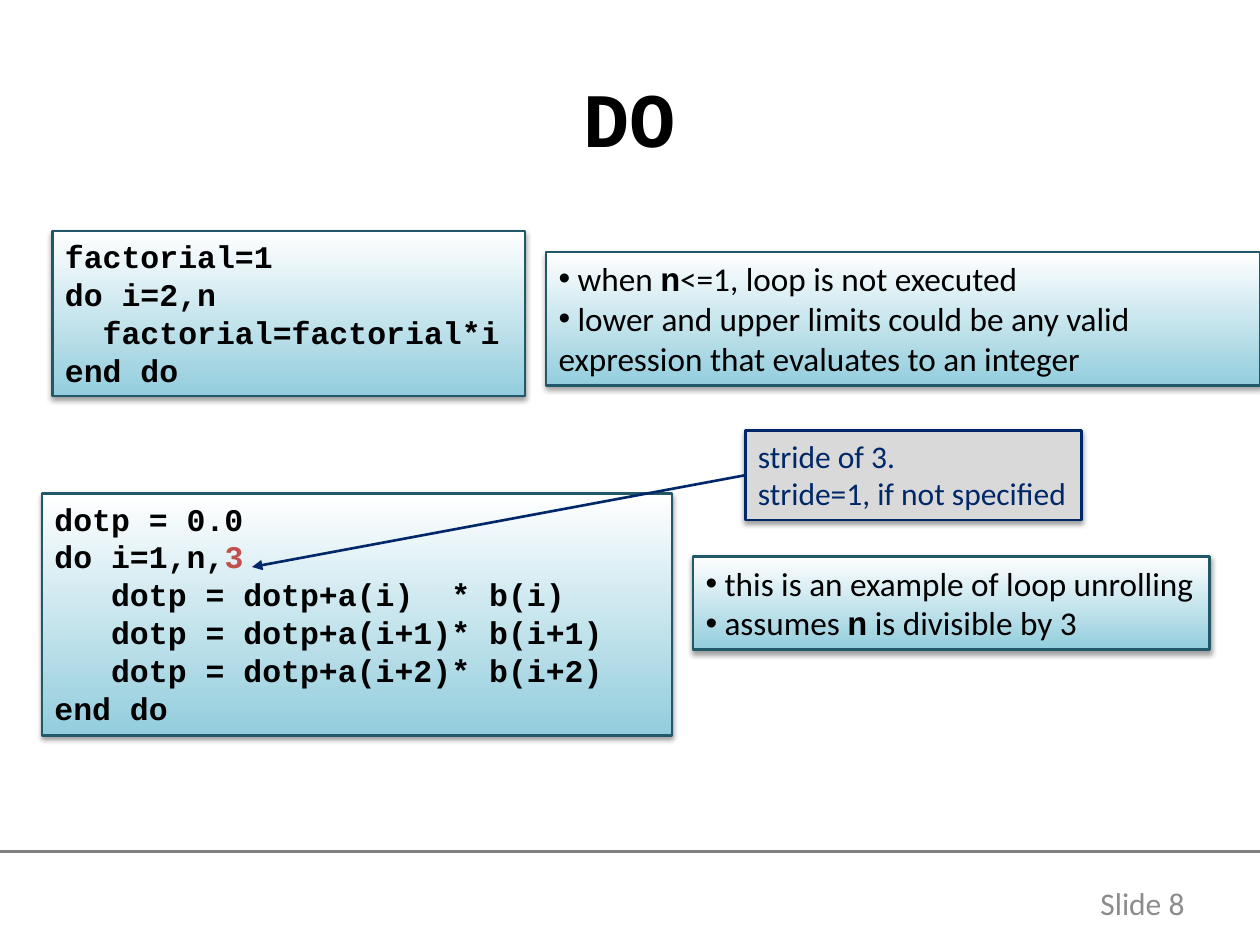
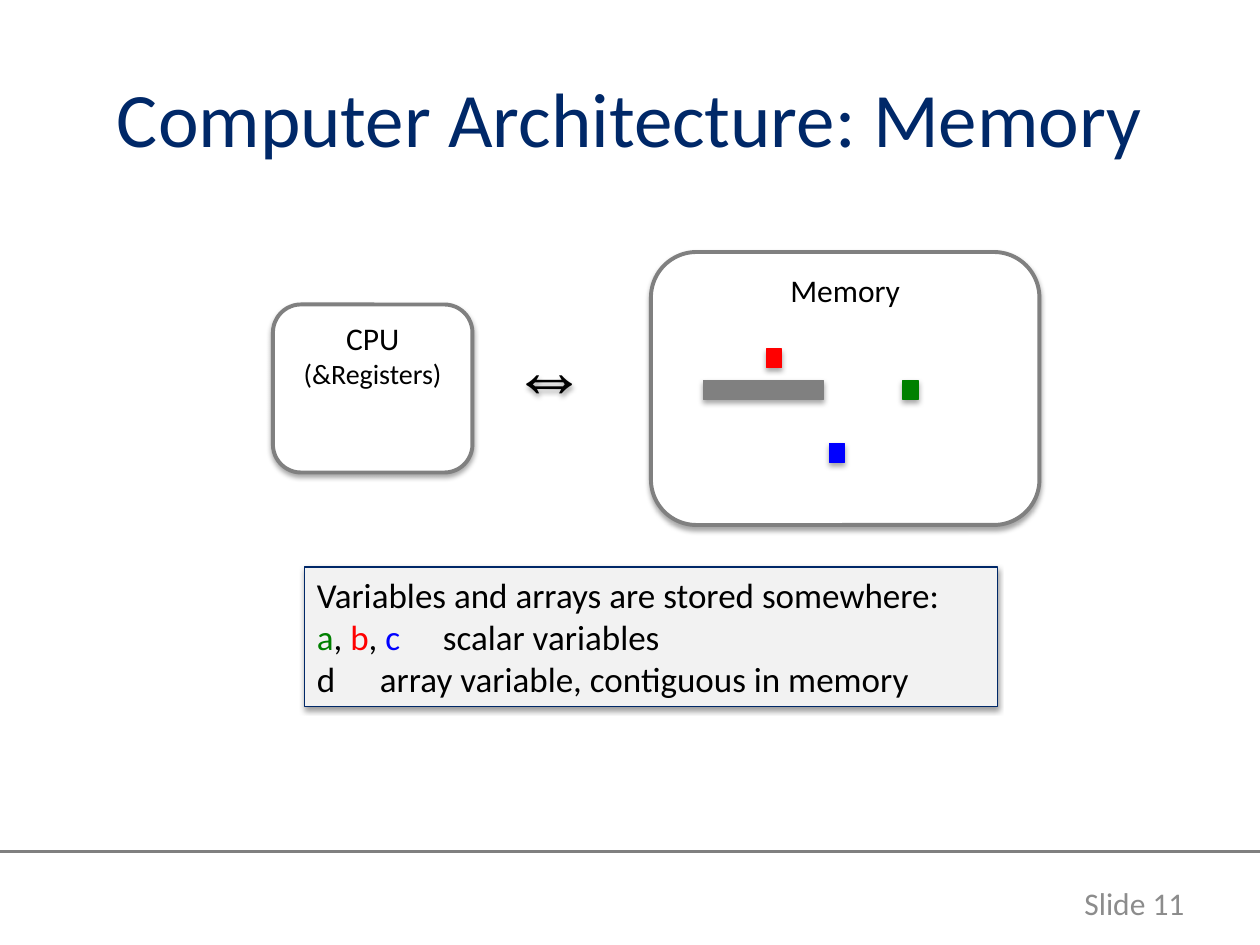
from dataclasses import dataclass, field
from typing import Any, NamedTuple, Optional

from lxml.etree import SubElement
from pptx import Presentation
from pptx.dml.color import RGBColor
from pptx.enum.shapes import MSO_CONNECTOR, MSO_SHAPE
from pptx.enum.text import MSO_ANCHOR, MSO_AUTO_SIZE, PP_ALIGN
from pptx.oxml.ns import qn
from pptx.util import Pt


@dataclass(frozen=True)
class Theme:
    sans: str = "Calibri"
    mono: str = "Courier New"
    black: str = "000000"
    white: str = "FFFFFF"
    navy: str = "002868"
    teal: str = "215968"
    aqua: str = "93CDDD"
    gray: str = "808080"
    foot: str = "8C8C8C"
    silver: str = "D9D9D9"
    pale: str = "F2F2F2"
    brick: str = "C0504D"
    red: str = "FF0000"
    green: str = "008000"
    blue: str = "0000FF"
    head: float = 44
    large: float = 20
    list: float = 19
    text: float = 18
    small: float = 16


T = Theme()
CHAR = 10.8  # width of one code letter at T.text


class Bit(NamedTuple):
    """A run of text in one format."""
    text: str
    color: str = T.black
    size: float = T.text
    face: str = T.sans
    bold: bool = False


class Line(NamedTuple):
    """A paragraph; indent is in points."""
    bits: list[Bit]
    indent: float = 0
    bullet: bool = False
    align: PP_ALIGN = PP_ALIGN.LEFT


class Area(NamedTuple):
    left: float
    top: float
    width: float
    height: float


class Glow(NamedTuple):
    """A shadow straight below its shape."""
    alpha: int
    dist: float


SOFT = Glow(38, 1.6)
DEEP = Glow(35, 1.8)


@dataclass
class Box:
    area: Area
    lines: list[Line] = field(default_factory=list)
    fill: Optional[str] = None  # None gives the aqua gradient
    edge: str = T.teal
    width: float = 1.5
    glow: Glow = SOFT
    kind: MSO_SHAPE = MSO_SHAPE.RECTANGLE
    wrap: bool = True


def tint(name: str) -> RGBColor:
    return RGBColor.from_string(name)


def apply(item: Any, values: dict[str, Any]) -> None:
    for key, value in values.items():
        setattr(item, key, value)


def place(shape: Any, area: Area) -> None:
    apply(shape, {key: Pt(value) for key, value in area._asdict().items()})


# Text

def mono(text: str, color: str = T.black, size: float = T.text) -> Bit:
    return Bit(text, color, size, T.mono, True)


def code(text: str, depth: int = 0) -> Line:
    return Line([mono(text)], depth * CHAR)


def point(*bits: Bit) -> Line:
    return Line([bit._replace(size=T.list) for bit in bits], bullet=True)


def mid(*bits: Bit) -> Line:
    return Line(list(bits), align=PP_ALIGN.CENTER)


def write(frame: Any, lines: list[Line], **form: Any) -> None:
    apply(frame, {"word_wrap": True, "auto_size": MSO_AUTO_SIZE.NONE,
                  "vertical_anchor": MSO_ANCHOR.TOP} | form)
    for row, line in enumerate(lines):
        para = frame.add_paragraph() if row else frame.paragraphs[0]
        apply(para, {"alignment": line.align, "space_before": Pt(0)})
        props = para._p.get_or_add_pPr()
        props.set("marL", str(Pt(line.indent)))
        props.set("indent", "0")
        if line.bullet:
            SubElement(props, qn("a:buFont"), typeface="Arial")
            SubElement(props, qn("a:buChar"), char="•")
        for bit in line.bits:
            run = para.add_run()
            run.text = bit.text
            apply(run.font, {"name": bit.face, "size": Pt(bit.size), "bold": bit.bold})
            run.font.color.rgb = tint(bit.color)


# Shapes

def shade(shape: Any, glow: Glow) -> None:
    shape.shadow.inherit = False
    effects = shape._element.spPr.find(qn("a:effectLst"))
    outer = SubElement(effects, qn("a:outerShdw"), blurRad=str(Pt(3.1)),
                       dist=str(Pt(glow.dist)), dir="5400000", rotWithShape="0")
    color = SubElement(outer, qn("a:srgbClr"), val=T.black)
    SubElement(color, qn("a:alpha"), val=str(glow.alpha * 1000))


def paint(shape: Any, box: Box) -> None:
    if box.fill:
        shape.fill.solid()
        shape.fill.fore_color.rgb = tint(box.fill)
    else:
        shape.fill.gradient()
        shape.fill.gradient_angle = 90
        for stop, (spot, name) in zip(shape.fill.gradient_stops,
                                      ((0, T.aqua), (1, T.white))):
            stop.position = spot
            stop.color.rgb = tint(name)
    shape.line.color.rgb = tint(box.edge)
    shape.line.width = Pt(box.width)
    shade(shape, box.glow)


def draw(slide: Any, box: Box, holder: Any = None) -> Any:
    """Draw a box, in a body placeholder where one is given."""
    shape = holder
    if shape is None:
        shape = slide.shapes.add_shape(box.kind, *map(Pt, box.area))
    place(shape, box.area)
    paint(shape, box)
    if box.lines:
        write(shape.text_frame, box.lines, word_wrap=box.wrap)
    return shape


def join(slide: Any, start: tuple, end: tuple, color: str, width: float) -> Any:
    line = slide.shapes.add_connector(MSO_CONNECTOR.STRAIGHT, *map(Pt, start + end))
    line.line.color.rgb = tint(color)
    line.line.width = Pt(width)
    SubElement(line._element.spPr, qn("a:effectLst"))
    return line


def label(slide: Any, area: Area, line: Line, **form: Any) -> Any:
    shape = slide.shapes.add_textbox(*map(Pt, area))
    write(shape.text_frame, [line], **form)
    return shape


# Parts shared by the slides

def start(deck: Any, layout: int, title: Bit, number: int) -> Any:
    slide = deck.slides.add_slide(deck.slide_layouts[layout])
    join(slide, (0, 486.7), (720, 486.7), T.gray, 2)
    label(slide, Area(605.5, 501.8, 78.5, 28.8),
          Line([Bit(f"Slide {number}", T.foot)], align=PP_ALIGN.RIGHT),
          vertical_anchor=MSO_ANCHOR.MIDDLE)
    head = slide.shapes.title
    place(head, Area(36, 21.6, 648, 90))
    write(head.text_frame, [mid(title)], vertical_anchor=MSO_ANCHOR.MIDDLE)
    return slide


# Slide on loops

def loops(deck: Any) -> None:
    slide = start(deck, 3, mono("DO", size=T.head), 8)
    draw(slide, Box(Area(24, 282, 360, 138.2), [
        code("dotp = 0.0"),
        Line([mono("do i=1,n,"), mono("3", T.brick)]),
        code("dotp = dotp+a(i)  * b(i)", 3),
        code("dotp = dotp+a(i+1)* b(i+1)", 3),
        code("dotp = dotp+a(i+2)* b(i+2)", 3),
        code("end do")]))
    draw(slide, Box(Area(30, 132, 270, 94.3), [
        code("factorial=1"),
        code("do i=2,n"),
        code("factorial=factorial*i", 2),
        code("end do")]))

    notes = [
        Box(Area(312, 144, 408, 76.3), [
            point(Bit(" when "), mono("n"), Bit("<=1, loop is not executed")),
            point(Bit(" lower and upper limits could be any valid "
                      "\texpression that evaluates to an integer"))]),
        Box(Area(396, 318, 295.2, 53.3), [
            point(Bit(" this is an example of loop unrolling")),
            point(Bit(" assumes "), mono("n"), Bit(" is divisible by 3"))])]
    for spot, note in enumerate(notes, 1):
        draw(slide, note, slide.placeholders[spot])

    stride = draw(slide, Box(Area(426, 246, 192.2, 51.1), [
        Line([Bit("stride of 3.", T.navy)]),
        Line([Bit("stride=1, if not specified", T.navy)])],
        T.silver, T.navy, wrap=False))
    arrow = join(slide, (426, 271.5), (144, 324), T.navy, 1.5)
    arrow.begin_connect(stride, 1)
    SubElement(arrow.line._get_or_add_ln(), qn("a:tailEnd"), type="triangle")


# Slide on memory

def memory(deck: Any) -> None:
    slide = start(deck, 5, Bit("Computer Architecture: Memory", T.navy, T.head), 11)
    units = [
        (Area(156, 174, 114, 96),
         [mid(Bit("CPU")), mid(Bit("(&Registers)", size=T.small))]),
        (Area(372, 144, 222, 156), [mid(Bit("Memory"))])]
    for area, lines in units:
        draw(slide, Box(area, lines, T.white, T.gray, 2.25, DEEP,
                        MSO_SHAPE.ROUNDED_RECTANGLE))
    link = label(slide, Area(294, 186, 59, 60.5),
                 Line([mono("⇔", size=T.head)]), word_wrap=False)
    shade(link, DEEP)

    # Stored values: left, top, width, colour
    cells = [(438, 199.4, 8.6, T.red), (516, 217.4, 8.6, T.green),
             (474, 253.4, 8.6, T.blue), (402, 217.4, 68.4, T.gray)]
    for left, top, width, color in cells:
        draw(slide, Box(Area(left, top, width, 10.8), [], color, color, 0.75, DEEP))

    rows = [
        [("Variables and arrays are stored somewhere:", T.black)],
        [("a", T.green), (", ", T.black), ("b", T.red), (", ", T.black),
         ("c\t", T.blue), ("scalar variables", T.black)],
        [("d \tarray variable, contiguous in memory", T.black)]]
    lines = [Line([Bit(text, color, T.large) for text, color in row]) for row in rows]
    draw(slide, Box(Area(174, 324, 396, 79.9), lines, T.pale, T.navy, 0.75))


def main() -> None:
    deck = Presentation()
    apply(deck, {"slide_width": Pt(720), "slide_height": Pt(540)})
    loops(deck)
    memory(deck)
    deck.save("out.pptx")


if __name__ == "__main__":
    main()
